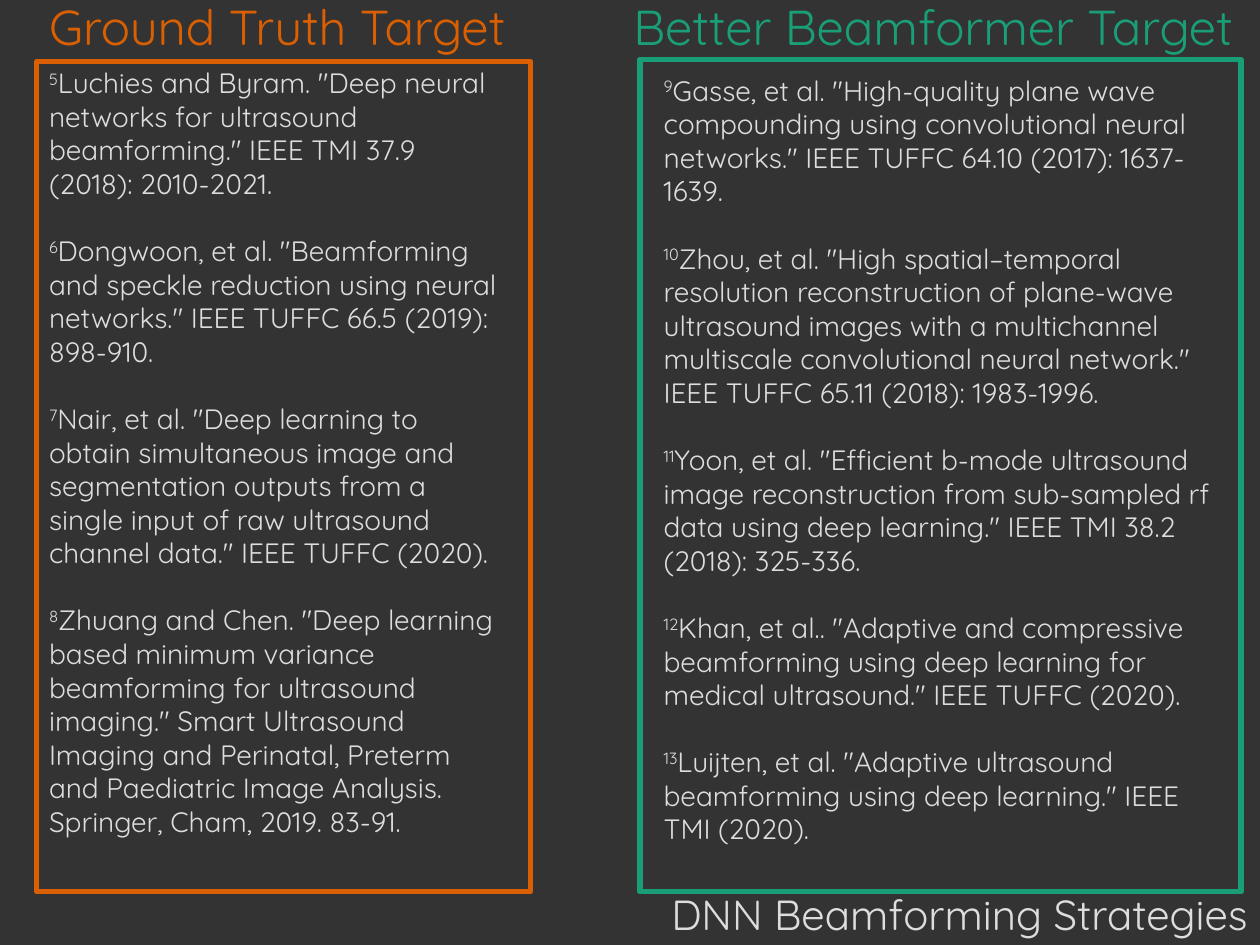
import pptx
import pptx.dml.color
import pptx.enum.shapes
import pptx.enum.text
import pptx.util

Cm = pptx.util.Cm
Pt = pptx.util.Pt
ALIGN = pptx.enum.text.PP_ALIGN
ANCHOR = pptx.enum.text.MSO_ANCHOR

FONT = "Quicksand"
COLORS = {"back": "333333", "text": "DDDDDD", "truth": "D95F02", "better": "199E77"}

TRUTH = [
    ("5", 'Luchies and Byram. "Deep neural networks for ultrasound beamforming." '
          'IEEE TMI 37.9 (2018): 2010-2021.'),
    ("6", 'Dongwoon, et al. "Beamforming and speckle reduction using neural networks." '
          'IEEE TUFFC 66.5 (2019): 898-910.'),
    ("7", 'Nair, et al. "Deep learning to obtain simultaneous image and segmentation '
          'outputs from a single input of raw ultrasound channel data." IEEE TUFFC (2020).'),
    ("8", 'Zhuang and Chen. "Deep learning based minimum variance beamforming for '
          'ultrasound imaging." Smart Ultrasound Imaging and Perinatal, Preterm and '
          'Paediatric Image Analysis. Springer, Cham, 2019. 83-91.'),
]
BETTER = [
    ("9", 'Gasse, et al. "High-quality plane wave compounding using convolutional neural '
          'networks." IEEE TUFFC 64.10 (2017): 1637-1639.'),
    ("10", 'Zhou, et al. "High spatial–temporal resolution reconstruction of plane-wave '
           'ultrasound images with a multichannel multiscale convolutional neural network." '
           'IEEE TUFFC 65.11 (2018): 1983-1996.'),
    ("11", 'Yoon, et al. "Efficient b-mode ultrasound image reconstruction from sub-sampled '
           'rf data using deep learning." IEEE TMI 38.2 (2018): 325-336.'),
    ("12", 'Khan, et al.. "Adaptive and compressive beamforming using deep learning for '
           'medical ultrasound." IEEE TUFFC (2020).'),
    ("13", 'Luijten, et al. "Adaptive ultrasound beamforming using deep learning." '
           'IEEE TMI (2020).'),
]


def color(name):
    return pptx.dml.color.RGBColor.from_string(COLORS[name])


def style(run, size, tint):
    run.font.name = FONT
    run.font.size = Pt(size)
    run.font.color.rgb = color(tint)


def add_text(slide, area):
    frame = slide.shapes.add_textbox(*map(Cm, area)).text_frame
    frame.word_wrap = True
    return frame


def add_title(slide, area, text, size, tint, align=ALIGN.LEFT, anchor=ANCHOR.TOP):
    frame = add_text(slide, area)
    frame.text = text
    frame.vertical_anchor = anchor
    para = frame.paragraphs[0]
    para.alignment = align
    style(para.runs[0], size, tint)


def add_frame(slide, area, tint):
    kind = pptx.enum.shapes.MSO_SHAPE.RECTANGLE
    rect = slide.shapes.add_shape(kind, *map(Cm, area))
    rect.shadow.inherit = False
    rect.fill.background()
    rect.line.color.rgb = color(tint)
    rect.line.width = Pt(3)


def add_refs(slide, area, refs):
    frame = add_text(slide, area)
    for i, (mark, text) in enumerate(refs):
        para = frame.add_paragraph() if i else frame.paragraphs[0]
        if i:
            para.space_before = Pt(19.2)
        para.text = mark
        para.add_run().text = text
        for run in para.runs:
            style(run, 16, "text")
        para.runs[0].font._element.set("baseline", "30000")


def main():
    deck = pptx.Presentation()
    deck.slide_width, deck.slide_height = Cm(25.4), Cm(19.05)
    slide = deck.slides.add_slide(deck.slide_layouts[6])
    slide.background.fill.solid()
    slide.background.fill.fore_color.rgb = color("back")

    add_title(slide, (8.89, 17.78, 16.51, 1.27), "DNN Beamforming Strategies",
              24, "text", ALIGN.RIGHT, ANCHOR.MIDDLE)
    columns = [
        ("Ground Truth Target", "truth", TRUTH, (0.74, -0.2, 10.06, 1.45),
         (0.74, 1.24, 9.96, 16.74), (0.74, 1.2, 9.55, 16.66)),
        ("Better Beamformer Target", "better", BETTER, (12.52, -0.2, 14.33, 1.45),
         (12.9, 1.2, 12.12, 16.78), (13.13, 1.35, 11.89, 15.98)),
    ]
    for title, tint, refs, head, box, body in columns:
        add_frame(slide, box, tint)
        add_refs(slide, body, refs)
        add_title(slide, head, title, 28, tint)
    deck.save("out.pptx")


if __name__ == "__main__":
    main()
